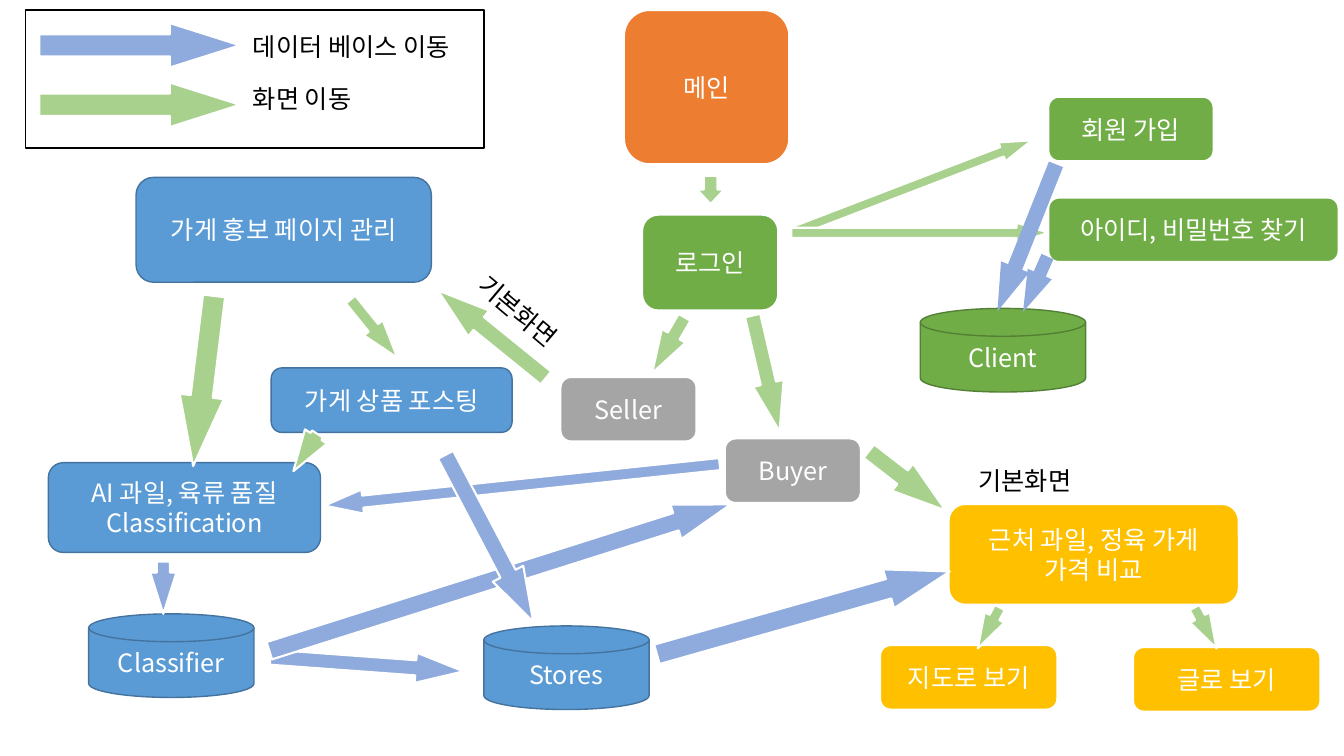
from collections import namedtuple
from dataclasses import dataclass

from lxml.etree import SubElement
from pptx import Presentation
from pptx.dml.color import RGBColor
from pptx.enum.shapes import MSO_SHAPE
from pptx.enum.text import MSO_ANCHOR, PP_ALIGN
from pptx.oxml.ns import qn
from pptx.util import Inches, Pt

Box = namedtuple("Box", "x y w h")
CELL = Inches(0.1)
COLS, ROWS = 133.33, 75
ROUND, DISK = MSO_SHAPE.ROUNDED_RECTANGLE, MSO_SHAPE.FLOWCHART_MAGNETIC_DISK


@dataclass(frozen=True)
class Theme:
    """Hold the colours and type sizes."""
    font: str = "Noto Sans CJK KR"
    size: float = 18
    white: str = "FFFFFF"
    black: str = "000000"
    blue: str = "5B9BD5"
    navy: str = "43739E"
    green: str = "70AD47"
    moss: str = "538035"
    orange: str = "ED7D31"
    gray: str = "A5A5A5"
    gold: str = "FFC000"
    data: str = "8FAADC"
    screen: str = "A9D18E"
    thin: float = 1
    thick: float = 1.5


LOOK = Theme()


def place(box, spot):
    """Turn grid cells within a box into slide lengths."""
    x, y, w, h = spot
    return [round(n * CELL) for n in (box.x + x, box.y + y, w, h)]


def write(frame, lines, tint, align):
    """Fill a text frame, one run per line."""
    frame.word_wrap = True
    for i, line in enumerate(lines):
        para = frame.paragraphs[0] if i == 0 else frame.add_paragraph()
        para.alignment = align
        run = para.add_run()
        run.text = line
        run.font.size = Pt(LOOK.size)
        run.font.color.rgb = RGBColor.from_string(tint)
        run.font.name = LOOK.font
        SubElement(run._r.get_or_add_rPr(), qn("a:ea"), typeface=LOOK.font)


def draw(page, box, kind, spot, fill, edge=LOOK.white, width=LOOK.thick):
    """Add a flat preset shape."""
    shape = page.shapes.add_shape(kind, *place(box, spot))
    shape.shadow.inherit = False
    shape.fill.solid()
    shape.fill.fore_color.rgb = RGBColor.from_string(fill)
    if edge:
        shape.line.color.rgb = RGBColor.from_string(edge)
        shape.line.width = Pt(width)
    else:
        shape.line.fill.background()
    return shape


def node(page, box, spot, fill, *lines, kind=ROUND, edge=None):
    """Add a named step or store."""
    width = LOOK.thin if edge else LOOK.thick
    shape = draw(page, box, kind, spot, fill, edge or LOOK.white, width)
    shape.text_frame.vertical_anchor = MSO_ANCHOR.MIDDLE
    write(shape.text_frame, lines, LOOK.white, PP_ALIGN.CENTER)


def arrow(page, box, spot, turn, fill=LOOK.screen, edge=LOOK.white, head=1.579):
    """Add a block arrow turned by some degrees."""
    shape = draw(page, box, MSO_SHAPE.RIGHT_ARROW, spot, fill, edge)
    shape.adjustments[0] = 0.5
    shape.adjustments[1] = head
    shape.rotation = turn


def label(page, box, spot, words, turn=0):
    """Add a plain black label."""
    text = page.shapes.add_textbox(*place(box, spot))
    text.rotation = turn
    write(text.text_frame, [words], LOOK.black, PP_ALIGN.LEFT)


def legend(page, box):
    """Draw the key to the two arrow colours."""
    draw(page, box, MSO_SHAPE.RECTANGLE, (0, 0, box.w, box.h),
         LOOK.white, LOOK.black, LOOK.thin)
    rows = [("데이터 베이스 이동", LOOK.data), ("화면 이동", LOOK.screen)]
    for i, (words, fill) in enumerate(rows):
        arrow(page, box, (1.4, 1.3 + 5.9 * i, 19.9, 4.4), 0, fill)
        label(page, box, (21.6, 1.6 + 5.2 * i, 23.9, 4), words)


def entry(page, box):
    """Draw the path from main page to user roles."""
    node(page, box, (6.3, 0, 16.4, 15.3), LOOK.orange, "메인")
    node(page, box, (8.1, 20.3, 13.5, 9.5), LOOK.green, "로그인")
    node(page, box, (16.3, 42.5, 13.5, 6.4), LOOK.gray, "Buyer")
    node(page, box, (0, 36.4, 13.5, 6.4), LOOK.gray, "Seller")
    arrow(page, box, (13.5, 16.5, 2.8, 2.7), 90, head=0.534)
    arrow(page, box, (7.5, 31.9, 6.4, 2.7), 120.1)
    arrow(page, box, (14.5, 34.5, 11.8, 3.1), 76.9)


def member(page, box):
    """Draw the account steps and their store."""
    node(page, box, (26.3, 10, 28.8, 6.4), LOOK.green, "아이디, 비밀번호 찾기")
    node(page, box, (26.3, 0, 16.4, 6.4), LOOK.green, "회원 가입")
    node(page, box, (13.6, 21, 16.4, 8.3), LOOK.green, "Client",
         kind=DISK, edge=LOOK.moss)
    arrow(page, box, (0, 7.9, 25.5, 2), 339)
    arrow(page, box, (0.8, 12.5, 25.5, 2), 0)
    arrow(page, box, (22, 17.3, 6, 2.6), 113.8, LOOK.data, None)
    arrow(page, box, (16.3, 12.5, 15.7, 3), 111.7, LOOK.data, None)


def shop(page, box):
    """Draw the seller steps and their stores."""
    steps = [
        (ROUND, (0, 28.3, 27, 8.9), ["AI 과일, 육류 품질", "Classification"]),
        (ROUND, (8.7, 0, 29.3, 10.4), ["가게 홍보 페이지 관리"]),
        (ROUND, (22.1, 18.9, 23.9, 6.4), ["가게 상품 포스팅"]),
        (DISK, (43.2, 44.5, 16.4, 8.3), ["Stores"]),
        (DISK, (4, 43.3, 16.4, 8.3), ["Classifier"]),
    ]
    for kind, spot, lines in steps:
        node(page, box, spot, LOOK.blue, *lines, kind=kind, edge=LOOK.navy)
    arrow(page, box, (6.9, 18, 17, 4.4), 97)
    arrow(page, box, (28.6, 13.8, 7.4, 2.4), 51.2)
    arrow(page, box, (23.3, 26, 4.4, 2.6), 123.1)
    arrow(page, box, (22, 46.8, 19.2, 3), 4.2, LOOK.data)
    arrow(page, box, (8.8, 39.4, 5.2, 2.6), 90, LOOK.data)


def price(page, box):
    """Draw the buyer's price page and its two views."""
    label(page, box, (8.8, 0, 13, 4), "기본화면")
    node(page, box, (6.8, 4.3, 28.8, 10), LOOK.gold,
         "근처 과일, 정육 가게 가격 비교")
    node(page, box, (0, 18.3, 17.6, 6.4), LOOK.gold, "지도로 보기")
    node(page, box, (25.1, 18.5, 18.6, 6.4), LOOK.gold, "글로 보기")
    arrow(page, box, (8.5, 15.5, 4.6, 2.2), 118.3)
    arrow(page, box, (30, 15.5, 4.6, 2.2), 61.8)


def links(page, box):
    """Draw the arrows that join the regions."""
    arrow(page, box, (85.2, 46, 9.6, 3.4), 37.7)
    arrow(page, box, (41.9, 31.5, 13.8, 3.3), 219)
    label(page, box, (45.6, 29.4, 13, 4), "기본화면", 40.2)
    for spot, turn in [
        ((64.6, 58.8, 30.2, 4), 344.2),
        ((32.1, 46.9, 39.4, 2.4), 174),
        ((25.6, 55.5, 48, 3.6), 342.4),
        ((39.2, 51.7, 18.7, 3.4), 62.3),
    ]:
        arrow(page, box, spot, turn, LOOK.data)


def main():
    """Build and save the slide."""
    deck = Presentation()
    deck.slide_width = round(COLS * CELL)
    deck.slide_height = ROWS * CELL
    page = deck.slides.add_slide(deck.slide_layouts[6])
    entry(page, Box(55.6, 1, 29.8, 48.9))
    member(page, Box(77.7, 9.6, 55.1, 29.3))
    shop(page, Box(4.8, 17.6, 59.6, 52.8))
    price(page, Box(87.3, 45.7, 43.7, 24.9))
    legend(page, Box(2.5, 1, 45.5, 13.7))
    links(page, Box(0, 0, COLS, ROWS))
    deck.save("out.pptx")


main()
